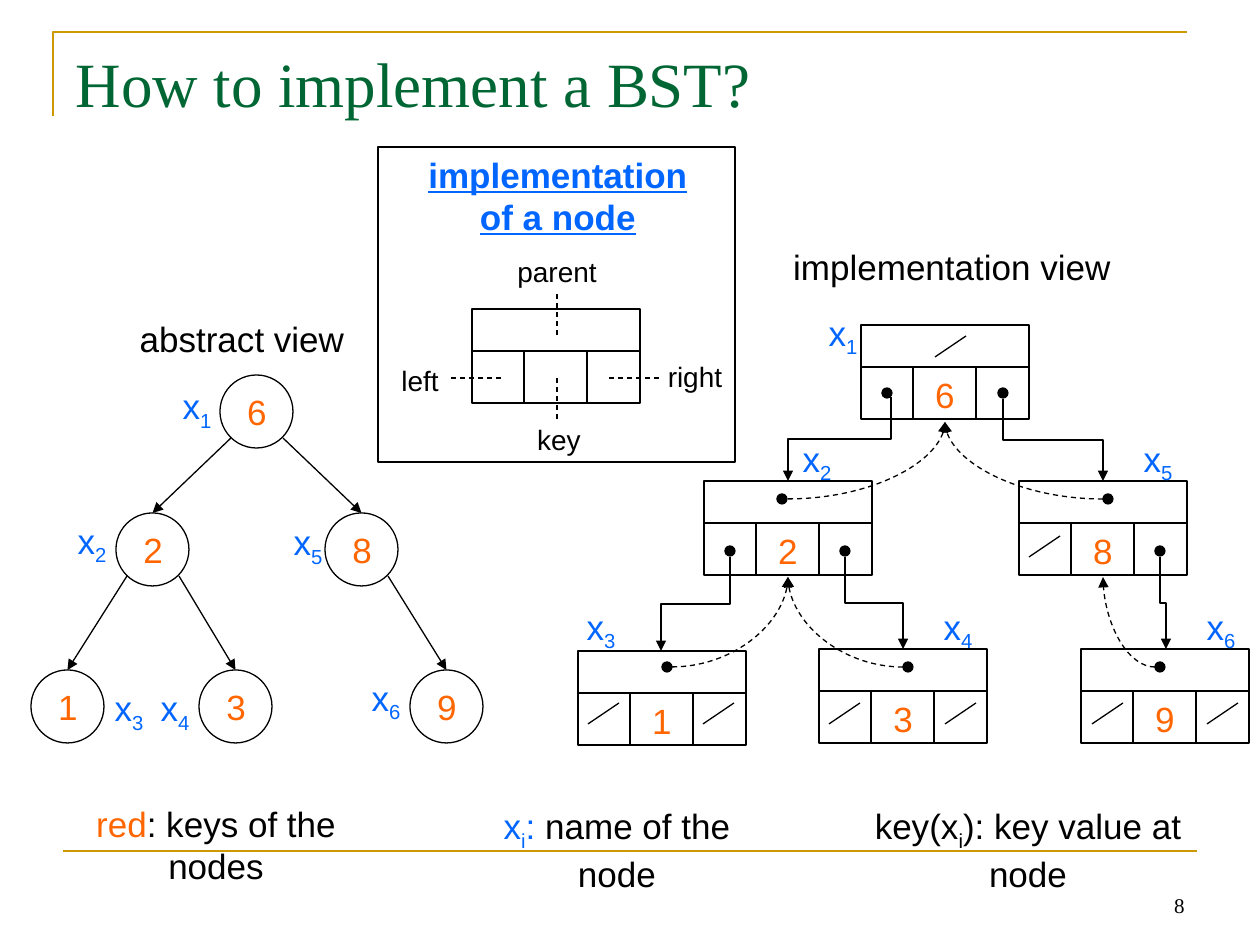
from lxml.etree import SubElement
from pptx import Presentation
from pptx.dml.color import RGBColor as Rgb
from pptx.enum.dml import MSO_LINE as Dash
from pptx.enum.shapes import MSO_CONNECTOR as Link, MSO_SHAPE as Preset
from pptx.enum.text import MSO_ANCHOR as Anchor, MSO_AUTO_SIZE as Fit, PP_ALIGN as Align
from pptx.oxml.ns import qn
from pptx.util import Emu, Pt

SCALE = 914400 / 126
COLORS = {"ink": "000000", "gold": "CC9900", "title": "006633", "key": "FF6600", "name": "0066FF"}
SUBSCRIPT = "-25000"
CIRCLE = 73
NODE_WIDTH, NODE_HEIGHT, NODE_ROW = 168, 94, 42


def px(*lengths):
    """Turn pixel lengths into EMU."""
    return [Emu(round(length * SCALE)) for length in lengths]


def color(name):
    """Look up a named colour."""
    return Rgb.from_string(COLORS[name])


def style_line(line, name="ink", width=0.75, dashed=False):
    """Give a line its colour, width and dash."""
    line.color.rgb = color(name)
    line.width = Pt(width)
    if dashed:
        line.dash_style = Dash.DASH


def style_font(font, size, name="ink", face="Arial"):
    """Give a font its face, size and colour."""
    font.name, font.size = face, Pt(size)
    font.color.rgb = color(name)


def add_outline(shapes, preset, left, top, width, height, filled=False):
    """Add a thin black outline, optionally filled."""
    shape = shapes.add_shape(preset, *px(left, top, width, height))
    shape.shadow.inherit = False
    style_line(shape.line)
    if filled:
        shape.fill.solid()
        shape.fill.fore_color.rgb = color("ink")
    else:
        shape.fill.background()
    return shape


def add_line(shapes, start, end, kind=Link.STRAIGHT, arrow=False, **look):
    """Add a connector, with an arrowhead at its end if wanted."""
    line = shapes.add_connector(kind, *px(*start, *end))
    style_line(line.line, **look)
    properties = line._element.spPr
    if arrow:
        SubElement(properties.get_or_add_ln(), qn("a:tailEnd"), type="triangle")
    SubElement(properties, qn("a:effectLst"))
    return line


def add_text(shapes, left, top, width, height, spans, size=20, wrap=False):
    """Add a centred line made of (text, colour, baseline) spans."""
    box = shapes.add_textbox(*px(left, top, width, height))
    frame = box.text_frame
    frame.word_wrap, frame.auto_size = wrap, Fit.SHAPE_TO_FIT_TEXT
    para = frame.paragraphs[0]
    para.alignment = Align.CENTER
    style_font(para.font, size, spans[0][1])
    for text, name, baseline in spans:
        span = para.add_run()
        span.text = text
        if name != spans[0][1]:
            span.font.color.rgb = color(name)
        if baseline:
            span._r.get_or_add_rPr().set("baseline", baseline)
    return box


def add_label(shapes, left, top, width, height, text, size=20, name="ink"):
    """Add a one-colour label."""
    return add_text(shapes, left, top, width, height, [(text, name, None)], size)


def add_circle(page, key, left, top):
    """Add a tree node of the abstract view."""
    shapes = page.shapes.add_group_shape().shapes
    circle = add_outline(shapes, Preset.OVAL, left, top, CIRCLE, CIRCLE)
    add_label(shapes, left + 14, top + 9, 46, 54, key, name="key")
    return circle


def add_node(page, left, top, key=None):
    """Add a record with a parent cell above left, key and right cells."""
    shapes = page.shapes.add_group_shape().shapes
    add_outline(shapes, Preset.RECTANGLE, left, top, NODE_WIDTH, NODE_HEIGHT)
    row = top + NODE_ROW
    add_line(shapes, (left, row), (left + NODE_WIDTH, row))
    if key:
        add_label(shapes, left + 61, row, 46, 54, key, name="key")
    for column in (52, 115):
        add_line(shapes, (left + column, row), (left + column, top + NODE_HEIGHT))


def add_child_link(page, x1, y1, x2, y2):
    """Add an elbow arrow that leaves downwards and arrives downwards."""
    middle_x, middle_y = (x1 + x2) / 2, (y1 + y2) / 2
    half_width, half_height = (y2 - y1) / 2, abs(x2 - x1) / 2
    turn = 90 if x2 < x1 else 270
    side = half_width if turn == 90 else -half_width
    link = add_line(page.shapes, (middle_x - side, middle_y - half_height),
                    (middle_x + side, middle_y + half_height), Link.ELBOW, arrow=True)
    link._element.spPr.xfrm.set("rot", str(turn * 60000))


def add_parent_link(page, x1, y1, x2, y2):
    """Add a dashed quarter curve that leaves sideways and arrives upwards."""
    start, end = (x1, y1), (x2, y2)
    if x2 < x1:
        start, end = end, start
    link = add_line(page.shapes, start, end, Link.CURVE, arrow=True, dashed=True)
    properties = link._element.spPr
    properties.find(qn("a:prstGeom")).set("prst", "curvedConnector2")
    if x2 < x1:
        properties.xfrm.set("rot", str(180 * 60000))


def add_page_frame(page):
    """Add the gold rules, the title and the page number."""
    builder = page.shapes.build_freeform(53, 116, scale=SCALE)
    builder.add_line_segments([(53, 32), (1187, 32)], close=False)
    corner = builder.convert_to_shape()
    corner.shadow.inherit = False
    corner.fill.background()
    style_line(corner.line, "gold", 1.5)
    add_line(page.shapes, (63, 851), (1197, 851), name="gold", width=1.5)
    number = add_label(page.shapes, 903, 861, 294, 63, "8", 12)
    frame = number.text_frame
    frame.word_wrap, frame.auto_size, frame.vertical_anchor = True, Fit.NONE, Anchor.BOTTOM
    frame.paragraphs[0].alignment = Align.RIGHT
    frame.paragraphs[0].font.name = "Times New Roman"
    title = page.shapes.title
    title.left, title.top, title.width, title.height = px(63, 38, 1134, 157)
    title.text_frame.text = "How to implement a BST?"
    title.text_frame.vertical_anchor = Anchor.TOP
    title.text_frame.auto_size = Fit.NONE
    para = title.text_frame.paragraphs[0]
    para.alignment = Align.LEFT
    style_font(para.font, 36, "title", "Times New Roman")


def add_abstract_view(page):
    """Add the tree of circles."""
    add_label(page.shapes, 122, 311, 240, 54, "abstract view")
    places = {"6": (220, 375), "2": (116, 513), "8": (325, 513),
              "1": (31, 670), "3": (199, 670), "9": (410, 670)}
    circles = {key: add_circle(page, key, *place) for key, place in places.items()}
    for parent, child, offset in [("6", "2", 11), ("6", "8", 63), ("2", "1", 11),
                                  ("2", "3", 63), ("8", "9", 63)]:
        left, top = places[parent]
        start, (end_left, end_top) = (left + offset, top + 63), places[child]
        edge = add_line(page.shapes, start, (end_left + CIRCLE / 2, end_top), arrow=True)
        edge.end_connect(circles[child], 0)


def add_node_legend(page):
    """Add the framed explanation of a node's cells."""
    add_node(page, 472, 309)
    for text, left, top, width in [("parent", 502, 248, 110), ("key", 522, 416, 74),
                                   ("left", 385, 357, 70), ("right", 650, 353, 90)]:
        add_label(page.shapes, left, top, width, 47, text, 16)
    heading = add_label(page.shapes, 412, 147, 292, 97, "implementation", name="name")
    second = heading.text_frame.add_paragraph()
    second.text, second.alignment = "of a node", Align.CENTER
    style_font(second.font, 20, "name")
    for para in heading.text_frame.paragraphs:
        para.font.bold = para.font.underline = True
    for start, end in [((451, 378), (504, 378)), ((609, 378), (662, 378)),
                       ((557, 294), (557, 336)), ((557, 378), (557, 420))]:
        add_line(page.shapes, start, end, dashed=True)
    add_outline(page.shapes, Preset.RECTANGLE, 378, 147, 357, 315)


def add_implementation_view(page):
    """Add the linked records."""
    add_label(page.shapes, 777, 239, 350, 54, "implementation view")
    for key, left, top in [("6", 861, 325), ("2", 704, 481), ("8", 1019, 481),
                           ("9", 1081, 649), ("3", 819, 649), ("1", 578, 651)]:
        add_node(page, left, top, key)
    for left, top in [(882, 388), (998, 388), (1155, 546), (840, 546), (725, 546),
                      (1103, 494), (1155, 662), (903, 662), (662, 662), (777, 494)]:
        add_outline(page.shapes, Preset.OVAL, left, top, 10, 10, filled=True)
    for ends in [(891, 397, 788, 481), (1003, 399, 1103, 481), (730, 557, 661, 651),
                 (845, 557, 903, 649), (1160, 557, 1166, 649)]:
        add_child_link(page, *ends)
    for ends in [(1103, 499, 945, 422), (788, 499, 945, 422), (672, 667, 788, 577),
                 (903, 667, 788, 577), (1155, 667, 1103, 577)]:
        add_parent_link(page, *ends)
    leaf_slashes = [(left, 724) for left in (588, 703, 829, 945, 1092, 1207)]
    for left, bottom in [(935, 357), (1029, 557)] + leaf_slashes:
        add_line(page.shapes, (left, bottom), (left + 31, bottom - 21))


def add_names_and_captions(page):
    """Add the node names and the three captions below."""
    abstract = [(169, 378), (64, 513), (101, 680), (147, 680), (280, 514), (358, 670)]
    linked = [(815, 305), (789, 431), (573, 599), (930, 599), (1130, 431), (1193, 599)]
    for places in (abstract, linked):
        for index, (left, top) in enumerate(places, 1):
            spans = [("x", "name", None), (str(index), "name", SUBSCRIPT)]
            add_text(page.shapes, left, top, 56, 54, spans)
    captions = [
        (36, 796, 360, [("red", "key", None), (": keys of the nodes", "ink", None)]),
        (452, 798, 330, [("x", "name", None), ("i", "name", SUBSCRIPT),
                         (": ", "name", None), ("name of the node", "ink", None)]),
        (824, 798, 408, [("key(x", "ink", None), ("i", "ink", SUBSCRIPT),
                         ("): key value at node", "ink", None)]),
    ]
    for left, top, width, spans in captions:
        add_text(page.shapes, left, top, width, 54, spans, wrap=True)


def main():
    """Build the slide and save it."""
    deck = Presentation()
    deck.slide_width, deck.slide_height = px(1260, 945)
    page = deck.slides.add_slide(deck.slide_layouts[5])
    for add_part in (add_page_frame, add_abstract_view, add_node_legend,
                     add_implementation_view, add_names_and_captions):
        add_part(page)
    deck.save("out.pptx")


if __name__ == "__main__":
    main()
